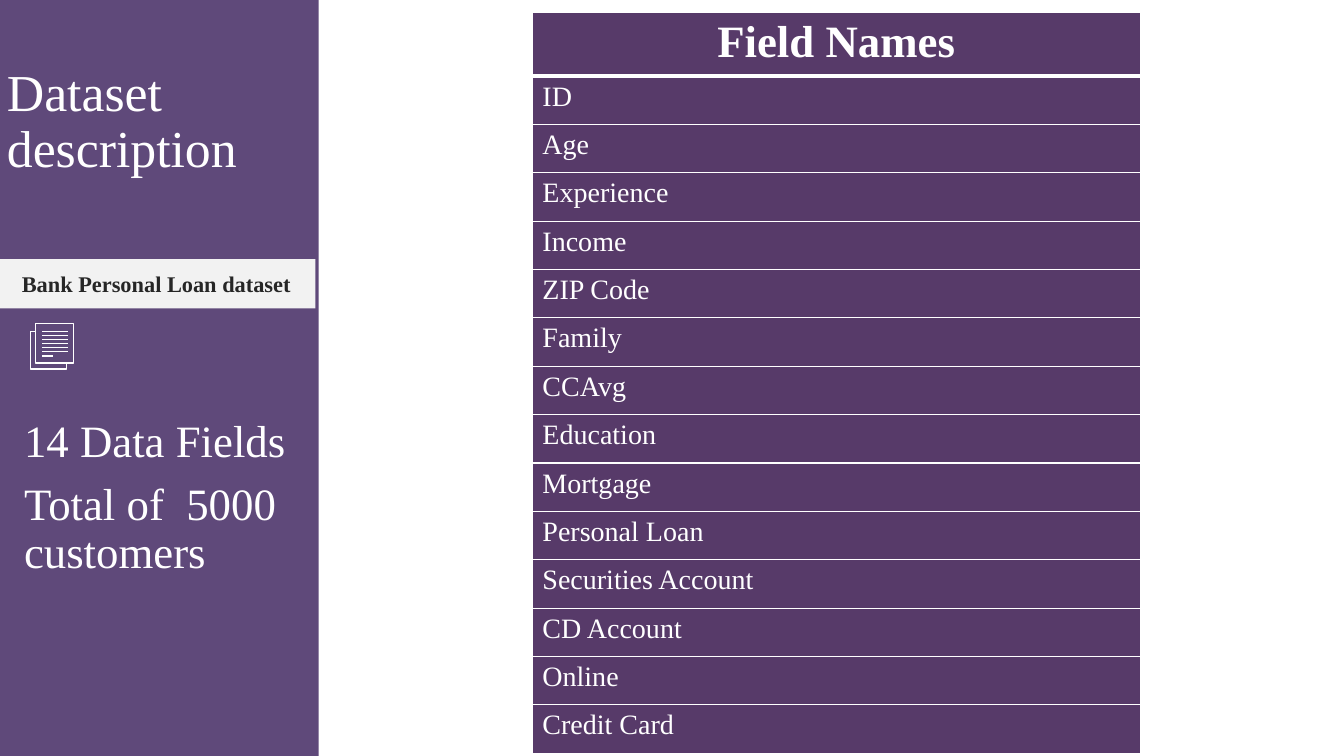
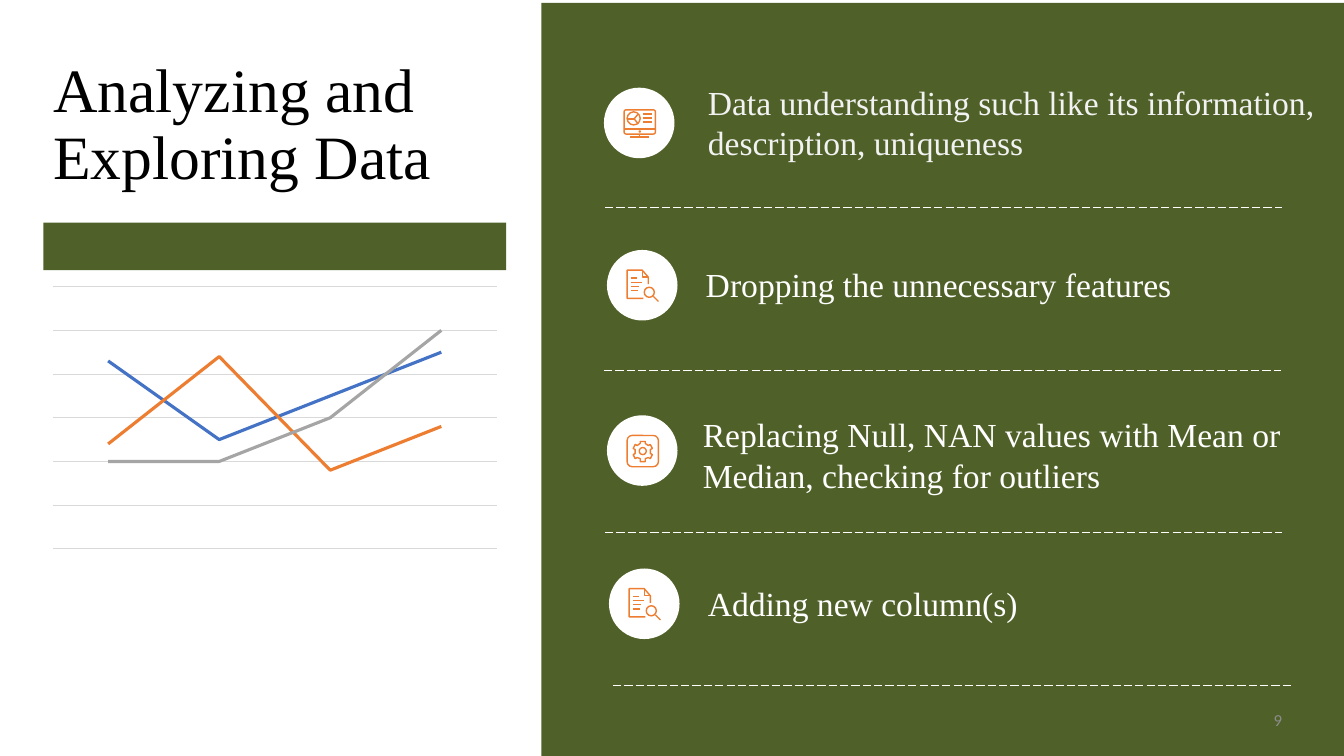
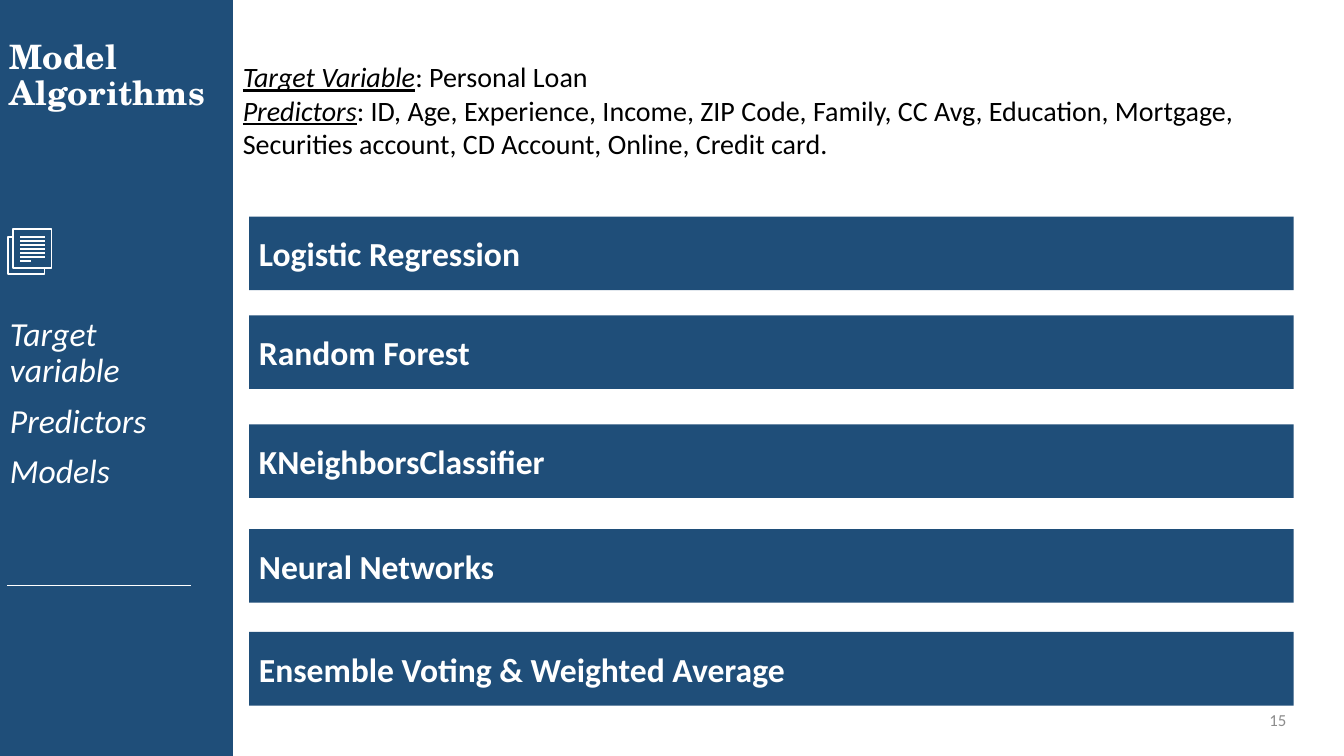
"""Build three slides on a loan dataset, its exploration and the models used."""
from dataclasses import dataclass, replace
from typing import Any, NamedTuple

import lxml.etree
import pptx
import pptx.chart.data
import pptx.dml.color
import pptx.enum.chart
import pptx.enum.dml
import pptx.enum.shapes
import pptx.enum.text
import pptx.oxml.ns
import pptx.slide
import pptx.util

EMU_PER_PX = 9144
COLORS = {
    "white": "FFFFFF",
    "black": "000000",
    "pale": "F2F2F2",
    "ink": "262626",
    "purple": "5F497A",
    "plum": "573A69",
    "green": "4F6128",
    "navy": "1F4E79",
    "number": "8C8C8C",
    "grid": "D9D9D9",
    "blue": "4472C4",
    "orange": "ED7D31",
    "gray": "A5A5A5",
}
SERIF = "Times New Roman"
SANS = "Calibri"
SHAPE = pptx.enum.shapes.MSO_SHAPE
CENTER = pptx.enum.text.PP_ALIGN.CENTER
MIDDLE = pptx.enum.text.MSO_ANCHOR.MIDDLE
DISC_SIZE = 70

Point = tuple[int, int]


class Box(NamedTuple):
    left: int
    top: int
    width: int
    height: int


@dataclass(frozen=True)
class TextStyle:
    size: int
    font: str = SERIF
    color: str = "white"
    bold: bool = False
    italic: bool = False
    underline: bool = False
    centered: bool = False
    middle: bool = False
    line_spacing: float = 1.0
    space_before: int = 0
    margins: tuple[int, int] = (10, 5)


class Outline(NamedTuple):
    kind: Any
    box: Box
    rounding: float = 0


class Stroke(NamedTuple):
    points: tuple[Point, ...]
    closed: bool = False


class Icon(NamedTuple):
    outlines: tuple[Outline, ...]
    strokes: tuple[Stroke, ...]


class Step(NamedTuple):
    icon: Icon
    disc: Point
    text: str
    text_box: Box
    divider: Point
    color: str = "white"


class Series(NamedTuple):
    name: str
    values: tuple[int, ...]
    color: str


TITLE = TextStyle(44, middle=True, line_spacing=0.9)
STEP_TEXT = TextStyle(24, margins=(0, 0))
SLIDE_NUMBER = TextStyle(12, SANS, "number", centered=True, middle=True, margins=(0, 0))
MODEL_TEXT = TextStyle(24, SANS, bold=True, middle=True)
VARIABLE_TEXT = TextStyle(20, SANS, "black")

DOCUMENT = Icon(
    (Outline(SHAPE.RECTANGLE, Box(5, 0, 38, 39)),),
    tuple(Stroke(((12, y), (37, y))) for y in range(8, 32, 4))
    + (Stroke(((12, 32), (23, 32))), Stroke(((5, 8), (0, 8), (0, 45), (36, 45), (36, 39)))),
)
SEARCH = Icon(
    (Outline(SHAPE.OVAL, Box(37, 37, 10, 10)),),
    tuple(Stroke(((24, y), (right, y))) for y, right in zip(range(28, 44, 4), (30, 35, 32, 31)))
    + (
        Stroke(((46, 46), (51, 51))),
        Stroke(((36, 48), (20, 48), (20, 20), (35, 20), (41, 27), (41, 34))),
        Stroke(((35, 20), (35, 27), (41, 27))),
    ),
)
MONITOR = Icon(
    (
        Outline(SHAPE.ROUNDED_RECTANGLE, Box(20, 22, 31, 24), 0.08),
        Outline(SHAPE.OVAL, Box(35, 43, 1, 1)),
        Outline(SHAPE.OVAL, Box(23, 24, 13, 13)),
    ),
    tuple(Stroke(((39, y), (48, y))) for y in range(26, 38, 4))
    + (
        Stroke(((26, 49), (45, 49))),
        Stroke(((35, 46), (35, 49))),
        Stroke(((20, 41), (51, 41))),
        Stroke(((34, 26), (30, 31), (34, 36))),
        Stroke(((30, 31), (23, 31))),
    ),
)
GEAR = Icon(
    (
        Outline(SHAPE.ROUNDED_RECTANGLE, Box(20, 20, 31, 31), 0.16),
        Outline(SHAPE.OVAL, Box(32, 32, 7, 7)),
    ),
    (
        Stroke(
            (
                (43, 34), (45, 33), (43, 29), (41, 30), (38, 28), (38, 26),
                (33, 26), (33, 28), (30, 30), (28, 29), (26, 33), (28, 34),
                (28, 38), (26, 39), (28, 43), (30, 42), (33, 43), (33, 46),
                (38, 46), (38, 43), (41, 42), (43, 43), (45, 39), (43, 38),
            ),
            True,
        ),
    ),
)

FIELDS = (
    "ID", "Age", "Experience", "Income", "ZIP Code", "Family", "CCAvg", "Education",
    "Mortgage", "Personal Loan", "Securities Account", "CD Account", "Online", "Credit Card",
)
STEPS = (
    Step(MONITOR, (599, 87), "Data understanding such like its information, description, uniqueness",
         Box(702, 81, 611, 81), (600, 206), "pale"),
    Step(SEARCH, (602, 248), "Dropping the unnecessary features",
         Box(700, 262, 570, 40), (599, 368)),
    Step(GEAR, (602, 412), "Replacing Null, NAN values with Mean or Median, checking for outliers",
         Box(697, 411, 611, 81), (600, 528)),
    Step(SEARCH, (604, 564), "Adding new column(s)",
         Box(702, 578, 570, 40), (608, 680)),
)
TRENDS = (
    Series("Series 1", (86, 50, 70, 90), "blue"),
    Series("Series 2", (48, 88, 36, 56), "orange"),
    Series("Series 3", (40, 40, 60, 100), "gray"),
)
MODELS = {
    "Logistic Regression": 215,
    "Random Forest": 313,
    "KNeighborsClassifier": 421,
    "Neural Networks": 525,
    "Ensemble Voting & Weighted Average": 627,
}
VARIABLES = {
    "Target Variable": ": Personal Loan",
    "Predictors": ": ID, Age, Experience, Income, ZIP Code, Family, CC Avg, Education, "
                  "Mortgage, Securities account, CD Account, Online, Credit card.",
}


def px(length: int) -> pptx.util.Emu:
    return pptx.util.Emu(length * EMU_PER_PX)


def emu_box(box: Box) -> tuple[pptx.util.Emu, ...]:
    return tuple(px(length) for length in box)


def rgb(color: str) -> pptx.dml.color.RGBColor:
    return pptx.dml.color.RGBColor.from_string(COLORS[color])


def format_font(font: Any, style: TextStyle) -> None:
    font.name = style.font
    font.size = pptx.util.Pt(style.size)
    font.bold = style.bold
    font.italic = style.italic
    font.underline = style.underline
    font.color.rgb = rgb(style.color)


def write_text(text_frame: Any, text: str, style: TextStyle) -> None:
    text_frame.text = text
    for index, paragraph in enumerate(text_frame.paragraphs):
        paragraph.alignment = CENTER if style.centered else pptx.enum.text.PP_ALIGN.LEFT
        paragraph.line_spacing = style.line_spacing
        if index:
            paragraph.space_before = pptx.util.Pt(style.space_before)
        for run in paragraph.runs:
            format_font(run.font, style)


def write_box(shape: Any, text: str, style: TextStyle) -> None:
    frame = shape.text_frame
    frame.word_wrap = True
    frame.vertical_anchor = MIDDLE if style.middle else pptx.enum.text.MSO_ANCHOR.TOP
    horizontal, vertical = style.margins
    frame.margin_left = frame.margin_right = px(horizontal)
    frame.margin_top = frame.margin_bottom = px(vertical)
    write_text(frame, text, style)


def add_text(slide: pptx.slide.Slide, box: Box, text: str, style: TextStyle) -> Any:
    shape = slide.shapes.add_textbox(*emu_box(box))
    write_box(shape, text, style)
    return shape


def add_filled(shapes: Any, box: Box, color: str, kind: Any = SHAPE.RECTANGLE) -> Any:
    shape = shapes.add_shape(kind, *emu_box(box))
    shape.shadow.inherit = False
    shape.fill.solid()
    shape.fill.fore_color.rgb = rgb(color)
    shape.line.fill.background()
    return shape


def set_outline(shape: Any, color: str) -> None:
    shape.shadow.inherit = False
    shape.fill.background()
    shape.line.color.rgb = rgb(color)
    shape.line.width = pptx.util.Pt(1)


def add_line(shapes: Any, start: Point, end: Point, color: str, width: float) -> Any:
    connector = shapes.add_connector(
        pptx.enum.shapes.MSO_CONNECTOR.STRAIGHT, *(px(length) for length in start + end)
    )
    connector.line.color.rgb = rgb(color)
    connector.line.width = pptx.util.Pt(width)
    lxml.etree.SubElement(connector._element.spPr, pptx.oxml.ns.qn("a:effectLst"))
    return connector


def add_icon(slide: pptx.slide.Slide, icon: Icon, origin: Point, color: str, disc: str = "") -> None:
    left, top = origin
    shapes = slide.shapes.add_group_shape().shapes
    if disc:
        add_filled(shapes, Box(left, top, DISC_SIZE, DISC_SIZE), disc, SHAPE.OVAL)
    for outline in icon.outlines:
        box = outline.box._replace(left=left + outline.box.left, top=top + outline.box.top)
        shape = shapes.add_shape(outline.kind, *emu_box(box))
        if outline.rounding:
            shape.adjustments[0] = outline.rounding
        set_outline(shape, color)
    for stroke in icon.strokes:
        points = [(left + x, top + y) for x, y in stroke.points]
        if len(points) == 2:
            add_line(shapes, points[0], points[1], color, 1)
            continue
        builder = shapes.build_freeform(*points[0], scale=EMU_PER_PX)
        builder.add_line_segments(points[1:], close=stroke.closed)
        set_outline(builder.convert_to_shape(), color)


def add_slide_number(slide: pptx.slide.Slide, number: int) -> None:
    add_text(slide, Box(1252, 701, 31, 27), str(number), SLIDE_NUMBER)


def set_borders(cell: Any, top: int, bottom: int) -> None:
    properties = cell._tc.get_or_add_tcPr()
    for index, (side, width) in enumerate({"L": 1, "R": 1, "T": top, "B": bottom}.items()):
        line = lxml.etree.Element(pptx.oxml.ns.qn(f"a:ln{side}"), w=str(pptx.util.Pt(width)))
        fill = lxml.etree.SubElement(line, pptx.oxml.ns.qn("a:solidFill"))
        lxml.etree.SubElement(fill, pptx.oxml.ns.qn("a:srgbClr"), val=COLORS["white"])
        properties.insert(index, line)


def add_field_table(slide: pptx.slide.Slide) -> None:
    rows = ("Field Names",) + FIELDS
    table = slide.shapes.add_table(len(rows), 1, *emu_box(Box(528, 12, 603, 732))).table
    header = TextStyle(32, bold=True, centered=True)
    for index, name in enumerate(rows):
        table.rows[index].height = px(48 if index else 60)
        cell = table.cell(index, 0)
        cell.fill.solid()
        cell.fill.fore_color.rgb = rgb("plum")
        write_text(cell.text_frame, name, TextStyle(20) if index else header)
        set_borders(cell, top=3 if index == 1 else 1, bottom=1 if index else 3)


def add_trend_chart(slide: pptx.slide.Slide) -> None:
    data = pptx.chart.data.CategoryChartData()
    data.categories = ["1", "2", "3", "4"]
    for series in TRENDS:
        data.add_series(series.name, series.values)
    chart = slide.shapes.add_chart(
        pptx.enum.chart.XL_CHART_TYPE.LINE, *emu_box(Box(43, 279, 459, 271)), data
    ).chart
    chart.has_title = False
    chart.has_legend = False
    chart.font.name = SANS
    chart.font.size = pptx.util.Pt(10)
    chart.font.color.rgb = rgb("black")
    chart.category_axis.visible = False
    axis = chart.value_axis
    axis.visible = False
    axis.minimum_scale, axis.maximum_scale, axis.major_unit = 0, 120, 20
    axis.has_major_gridlines = True
    axis.major_gridlines.format.line.color.rgb = rgb("grid")
    axis.major_gridlines.format.line.width = pptx.util.Pt(0.75)
    plot = chart.plots[0]
    plot.vary_by_categories = False
    for line, series in zip(plot.series, TRENDS):
        line.smooth = False
        line.format.line.color.rgb = rgb(series.color)
        line.format.line.width = pptx.util.Pt(2.25)


def build_dataset_slide(slide: pptx.slide.Slide) -> None:
    add_filled(slide.shapes, Box(0, 0, 316, 750), "purple")
    add_text(slide, Box(-3, 37, 318, 170), "Dataset description", replace(TITLE, size=37))
    add_text(slide, Box(14, 411, 300, 175), "14 Data Fields\nTotal of  5000 customers",
             TextStyle(32, line_spacing=0.9, space_before=10))
    add_icon(slide, DOCUMENT, (30, 321), "white")
    label = add_filled(slide.shapes, Box(-3, 257, 316, 49), "pale")
    write_box(label, "Bank Personal Loan dataset",
              TextStyle(16, color="ink", bold=True, centered=True, middle=True))
    add_field_table(slide)


def build_exploration_slide(slide: pptx.slide.Slide) -> None:
    add_filled(slide.shapes, Box(537, 3, 796, 747), "green")
    add_text(slide, Box(43, 40, 459, 170), "Analyzing and Exploring Data",
             replace(TITLE, color="black"))
    add_trend_chart(slide)
    add_filled(slide.shapes, Box(43, 221, 459, 47), "green")
    for step in STEPS:
        add_text(slide, step.text_box, step.text, replace(STEP_TEXT, color=step.color))
        add_icon(slide, step.icon, step.disc, "orange", disc="white")
        left, top = step.divider
        divider = add_line(slide.shapes, (left, top), (left + 672, top), "white", 0.75)
        divider.line.dash_style = pptx.enum.dml.MSO_LINE.LONG_DASH
    add_slide_number(slide, 9)


def build_models_slide(slide: pptx.slide.Slide) -> None:
    add_filled(slide.shapes, Box(0, 0, 231, 750), "navy")
    add_text(slide, Box(0, -9, 237, 170), "Model Algorithms",
             replace(TITLE, size=24, font="TeX Gyre Schola", bold=True))
    add_icon(slide, DOCUMENT, (8, 227), "white")
    add_text(slide, Box(0, 310, 222, 148), "Target variable\nPredictors\nModels",
             TextStyle(24, SANS, italic=True, line_spacing=0.9, space_before=10))
    add_line(slide.shapes, (7, 581), (189, 581), "white", 0.75)
    variables = add_text(slide, Box(231, 54, 1083, 111), "\n".join(VARIABLES),
                         replace(VARIABLE_TEXT, italic=True, underline=True))
    for paragraph, detail in zip(variables.text_frame.paragraphs, VARIABLES.values()):
        run = paragraph.add_run()
        run.text = detail
        format_font(run.font, VARIABLE_TEXT)
    for model, top in MODELS.items():
        write_box(add_filled(slide.shapes, Box(247, top, 1036, 73), "navy"), model, MODEL_TEXT)
    add_slide_number(slide, 15)


def main() -> None:
    presentation = pptx.Presentation()
    presentation.slide_width = px(1333)
    presentation.slide_height = px(750)
    blank_layout = presentation.slide_layouts[6]
    for build in (build_dataset_slide, build_exploration_slide, build_models_slide):
        build(presentation.slides.add_slide(blank_layout))
    presentation.save("out.pptx")


if __name__ == "__main__":
    main()
